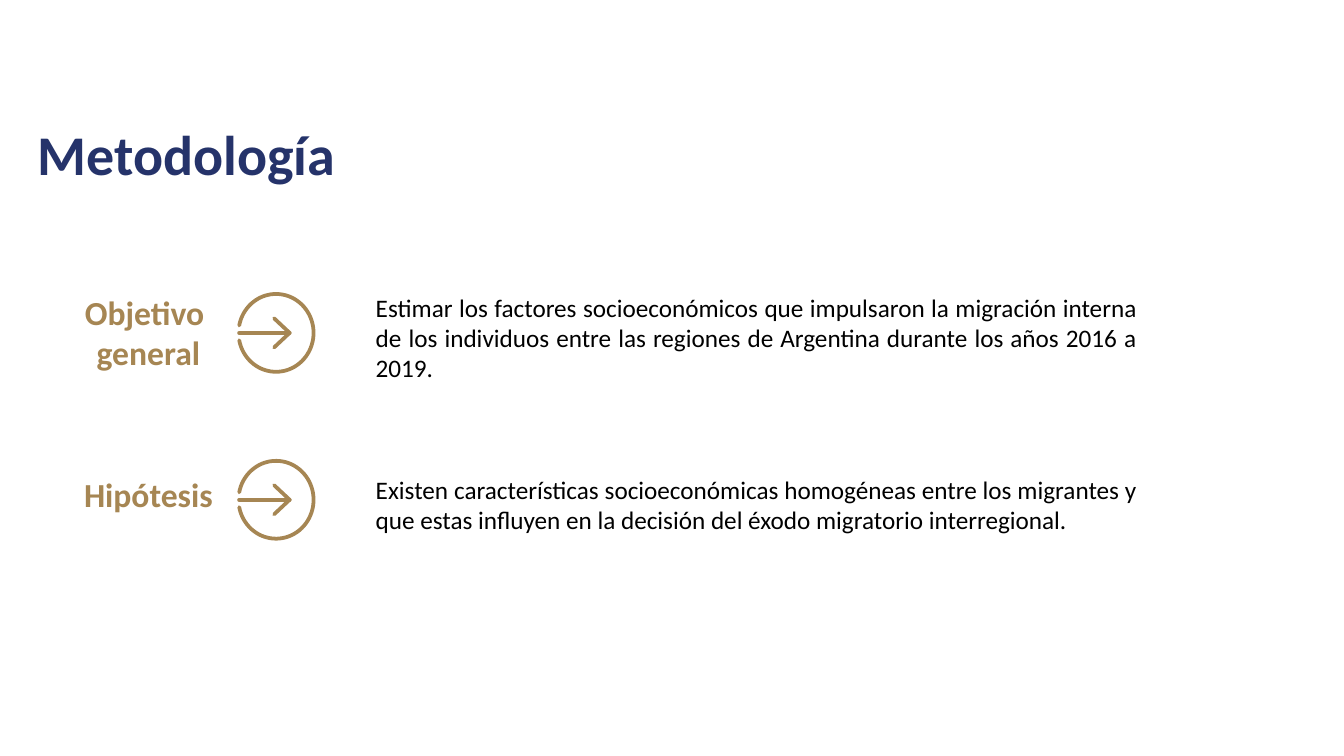
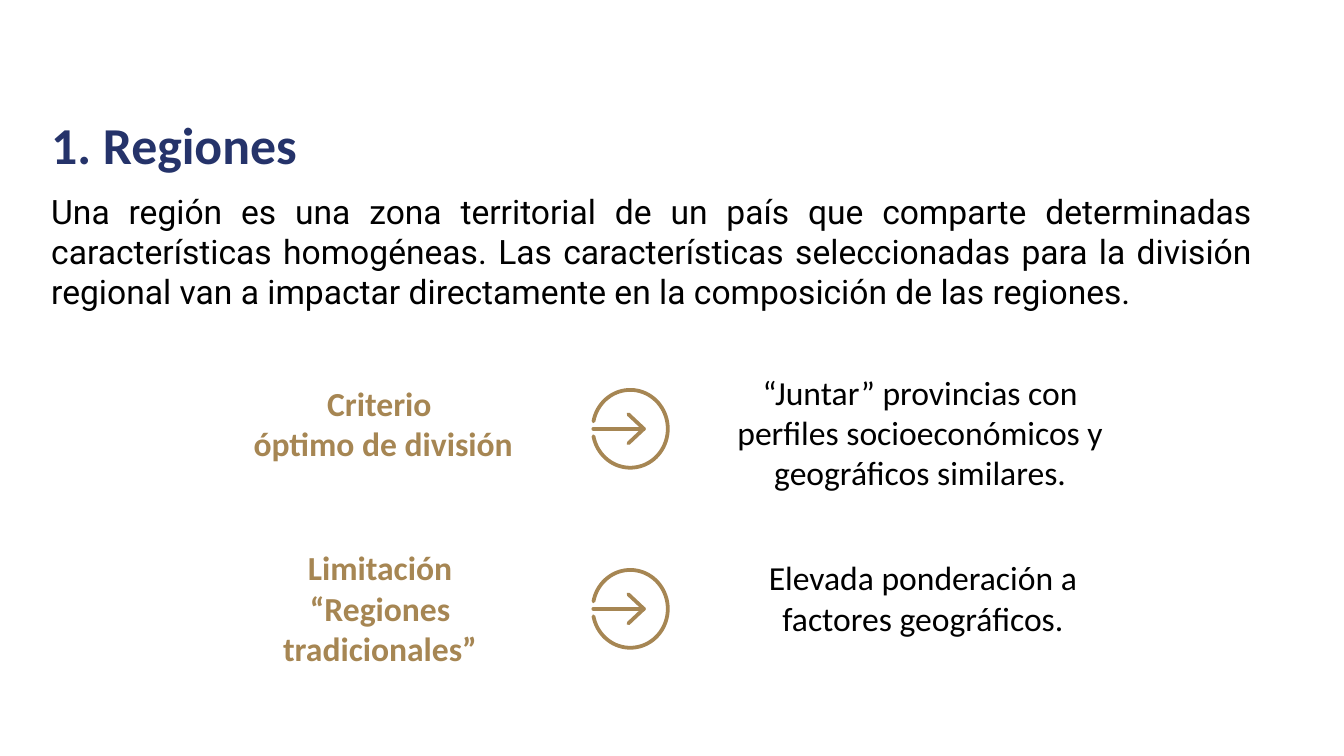
import math

import pptx
import pptx.dml.color
import pptx.enum.text
import pptx.util
from lxml import etree
from pptx.oxml import ns

Pt = pptx.util.Pt
ALIGN = pptx.enum.text.PP_ALIGN

NAVY = pptx.dml.color.RGBColor(0x25, 0x33, 0x6A)
GOLD = pptx.dml.color.RGBColor(0xA6, 0x86, 0x53)
BLACK = pptx.dml.color.RGBColor(0x00, 0x00, 0x00)

TITLE = dict(color=NAVY, bold=True)
LABEL = dict(size=24, color=GOLD, bold=True, align=ALIGN.CENTER)

# Arrow icon, in hundredths of a point from its centre
UNITS_PER_POINT = 100
RING_RADIUS_X, RING_RADIUS_Y = 2680, 2780
GAP_DEGREES = 11
RING_STEPS = 72
SHAFT = [(-2640, 0), (970, 0)]
HEAD = [(-140, -1040), (970, 0), (-140, 1040)]


def add_text(slide, text, left, top, width, height, size=18, color=BLACK,
             bold=False, align=ALIGN.LEFT, font="Calibri", line_spacing=1.0):
    box = slide.shapes.add_textbox(Pt(left), Pt(top), Pt(width), Pt(height))
    frame = box.text_frame
    frame.word_wrap = True
    frame.text = text
    for paragraph in frame.paragraphs:
        paragraph.alignment = align
        paragraph.line_spacing = line_spacing
        paragraph.font.name = font
        paragraph.font.size = Pt(size)
        paragraph.font.bold = bold
        paragraph.font.color.rgb = color


def add_arrow_icon(slide, center_x, center_y):
    """Draw a ring, open on its left, with an arrow entering through the gap."""
    sweep = 360 - 2 * GAP_DEGREES
    angles = [math.radians(180 + GAP_DEGREES + sweep * step / RING_STEPS)
              for step in range(RING_STEPS + 1)]
    ring = [(round(RING_RADIUS_X * math.cos(angle)),
             round(RING_RADIUS_Y * math.sin(angle))) for angle in angles]
    builder = slide.shapes.build_freeform(*ring[0], scale=Pt(1) / UNITS_PER_POINT)
    builder.add_line_segments(ring[1:], close=False)
    for stroke in (SHAFT, HEAD):
        builder.move_to(*stroke[0])
        builder.add_line_segments(stroke[1:], close=False)
    icon = builder.convert_to_shape(Pt(center_x), Pt(center_y))
    icon.shadow.inherit = False
    icon.fill.background()
    icon.line.color.rgb = GOLD
    icon.line.width = Pt(2.7)
    outline = icon.line._get_or_add_ln()
    outline.set("cap", "rnd")
    etree.SubElement(outline, ns.qn("a:round"))


presentation = pptx.Presentation()
presentation.slide_width = Pt(960)
presentation.slide_height = Pt(540)
blank_layout = presentation.slide_layouts[6]

# Slide 1: methodology
slide = presentation.slides.add_slide(blank_layout)
add_text(slide, "Metodología", 20, 87.5, 870, 81, size=40, line_spacing=0.9, **TITLE)
methodology_rows = [
    ("Objetivo \ngeneral", 205, 237.8,
     "Estimar los factores socioeconómicos que impulsaron la migración interna "
     "de los individuos entre las regiones de Argentina durante los años 2016 a 2019."),
    ("Hipótesis", 335, 357,
     "Existen características socioeconómicas homogéneas entre los migrantes y "
     "que estas influyen en la decisión del éxodo migratorio interregional."),
]
for label, top, icon_y, description in methodology_rows:
    add_text(slide, label, 43, top, 126, 65, **LABEL)
    add_arrow_icon(slide, 197.2, icon_y)
    add_text(slide, description, 261.3, top, 558, 80, align=ALIGN.JUSTIFY)

# Slide 2: regions
slide = presentation.slides.add_slide(blank_layout)
add_text(slide, "1. Regiones", 29.5, 85.5, 366, 43, size=37, line_spacing=0.8, **TITLE)
add_text(slide,
         "Una región es una zona territorial de un país que comparte determinadas "
         "características homogéneas. Las características seleccionadas para la división "
         "regional van a impactar directamente en la composición de las regiones.",
         29.5, 132.5, 872, 94, size=24, font="Roboto", align=ALIGN.JUSTIFY)
region_rows = [
    ("Criterio\n óptimo de división", 155.5, 270, 231, 306.3,
     "“Juntar” provincias con perfiles socioeconómicos y geográficos similares.",
     501, 262),
    ("Limitación\n“Regiones tradicionales”", 181.5, 387.4, 180, 434.9,
     "Elevada ponderación a factores geográficos.", 503, 394.6),
]
for label, left, top, width, icon_y, description, text_left, text_top in region_rows:
    add_text(slide, label, left, top, width, 94, **LABEL)
    add_arrow_icon(slide, 450.2, icon_y)
    add_text(slide, description, text_left, text_top, 312.5, 100,
             size=24, align=ALIGN.CENTER)

presentation.save("out.pptx")
